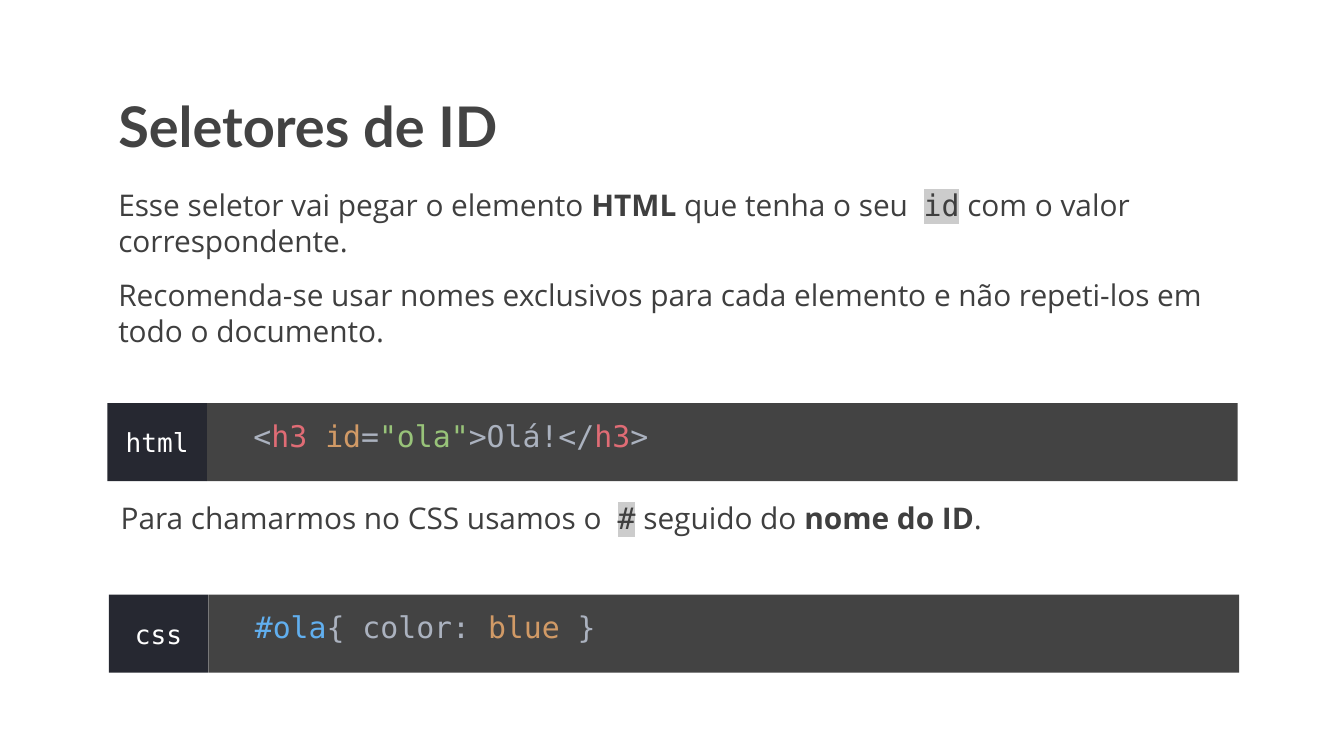
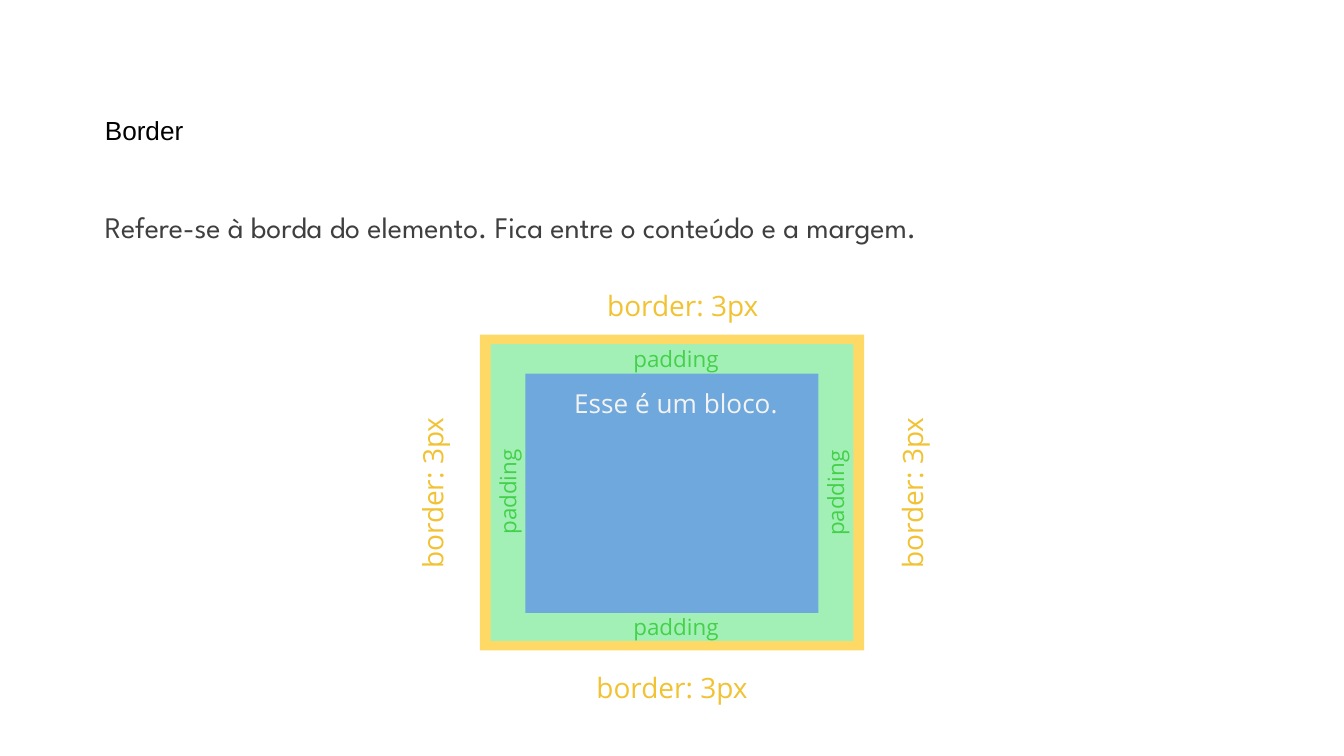
from lxml import etree
from pptx import Presentation
from pptx.dml.color import RGBColor
from pptx.enum.shapes import MSO_SHAPE
from pptx.enum.text import MSO_ANCHOR, MSO_AUTO_SIZE, PP_ALIGN
from pptx.oxml.ns import qn
from pptx.util import Inches, Pt

RECT = MSO_SHAPE.RECTANGLE
TOP, MIDDLE, BOTTOM = MSO_ANCHOR.TOP, MSO_ANCHOR.MIDDLE, MSO_ANCHOR.BOTTOM
LEFT, CENTER = PP_ALIGN.LEFT, PP_ALIGN.CENTER
NO_FIT = MSO_AUTO_SIZE.NONE

WIDTH = Inches(10)
HEIGHT = WIDTH * 9 // 16
COLS, ROWS = 100, 56.25

WHITE = RGBColor(0xFF, 0xFF, 0xFF)
BLACK = RGBColor(0, 0, 0)
INK = RGBColor(0x3F, 0x3F, 0x3F)
CODE_BG = RGBColor(0x43, 0x43, 0x43)
TAG_BG = RGBColor(0x26, 0x28, 0x31)
MARK = RGBColor(0xCC, 0xCC, 0xCC)
PLAIN = RGBColor(0xAB, 0xB2, 0xBF)
RED = RGBColor(0xE0, 0x6C, 0x75)
ORANGE = RGBColor(0xD1, 0x9A, 0x66)
GREEN = RGBColor(0x98, 0xC3, 0x79)
BLUE = RGBColor(0x61, 0xAF, 0xEF)
BORDER = RGBColor(0xFF, 0xD9, 0x66)
BORDER_INK = RGBColor(0xF1, 0xC2, 0x32)
PADDING = RGBColor(0xA3, 0xF0, 0xB7)
PADDING_INK = RGBColor(0x44, 0xD0, 0x49)
BLOCK = RGBColor(0x6F, 0xA8, 0xDC)
BLOCK_INK = RGBColor(0xF3, 0xF3, 0xF3)

MONO, SANS = "DejaVu Sans Mono", "Open Sans"
BOLD = {"bold": True}
CODE_WORD = {"font": MONO, "mark": MARK}


def add_run(p, text, size=16, font=SANS, color=INK, bold=False, mark=None):
    """Add a formatted run to a paragraph."""
    r = p.add_run()
    r.text = text
    r.font.size, r.font.name, r.font.bold = Pt(size), font, bold
    r.font.color.rgb = color
    if mark is not None:
        highlight = etree.Element(qn("a:highlight"))
        etree.SubElement(highlight, qn("a:srgbClr")).set("val", str(mark))
        r._r.rPr.find(qn("a:solidFill")).addnext(highlight)


def fill_text(tf, paragraphs, anchor=TOP, align=LEFT, spacing=1.0, before=0,
              insets=(0.1, 0.1, 0.1, 0.1), **style):
    """Write paragraphs, each a string or a list of (text, style) runs."""
    tf.auto_size, tf.word_wrap, tf.vertical_anchor = NO_FIT, True, anchor
    tf.margin_left, tf.margin_top, tf.margin_right, tf.margin_bottom = map(Inches, insets)
    for i, runs in enumerate(paragraphs):
        p = tf.add_paragraph() if i else tf.paragraphs[0]
        p.alignment, p.line_spacing = align, spacing
        p.space_before, p.space_after = Pt(before if i else 0), Pt(0)
        for text, extra in [(runs, {})] if isinstance(runs, str) else runs:
            add_run(p, text, **{**style, **extra})


class Deck:
    """Hold the grid, the shared style and the current slide."""

    def __init__(self):
        """Open an empty presentation of the right size."""
        self.prs = Presentation()
        self.prs.slide_width, self.prs.slide_height = WIDTH, HEIGHT
        self.s = None

    def new_slide(self):
        """Start a slide with a title and a body."""
        self.s = self.prs.slides.add_slide(self.prs.slide_layouts[1])

    def box(self, col, row, cols, rows):
        """Turn grid cells into slide lengths."""
        return (round(col * WIDTH / COLS), round(row * HEIGHT / ROWS),
                round(cols * WIDTH / COLS), round(rows * HEIGHT / ROWS))

    def place(self, sp, cells):
        """Move a placeholder to grid cells."""
        sp.left, sp.top, sp.width, sp.height = self.box(*cells)

    def title(self, cells, text, **style):
        """Fill the title placeholder."""
        sp = self.s.shapes.title
        self.place(sp, cells)
        fill_text(sp.text_frame, [text], **style)

    def body(self, cells, paragraphs, **style):
        """Fill the body placeholder without bullets."""
        sp = self.s.placeholders[1]
        self.place(sp, cells)
        fill_text(sp.text_frame, paragraphs, before=10, **style)
        for p in sp.text_frame.paragraphs:
            pPr = p._p.get_or_add_pPr()
            pPr.set("marL", "0")
            pPr.set("indent", "0")
            etree.SubElement(pPr, qn("a:buNone"))

    def text(self, cells, paragraphs, turn=0, **style):
        """Add a text box."""
        sp = self.s.shapes.add_textbox(*self.box(*cells))
        sp.rotation = turn
        fill_text(sp.text_frame, paragraphs, **style)

    def rect(self, cells, color, shapes=None):
        """Add a plain filled rectangle."""
        sp = (shapes or self.s.shapes).add_shape(RECT, *self.box(*cells))
        sp.shadow.inherit = False
        sp.fill.solid()
        sp.fill.fore_color.rgb = color
        sp.line.fill.background()
        return sp

    def code(self, col, row, language, runs):
        """Add a code bar with its language tag."""
        shapes = self.s.shapes.add_group_shape().shapes
        bar = self.rect((col + 7.4, row, 76.7, 5.8), CODE_BG, shapes)
        fill_text(bar.text_frame, [[(t, {"color": c}) for t, c in runs]],
                  anchor=MIDDLE, insets=(0.08, 0, 0.1, 0.1), font=MONO)
        tag = self.rect((col, row, 7.4, 5.8), TAG_BG, shapes)
        fill_text(tag.text_frame, [language], anchor=MIDDLE, align=CENTER,
                  size=14, font=MONO, color=WHITE)

    def labels(self, text, spots, **style):
        """Repeat a centred label at several (cells, turn) spots."""
        for cells, turn in spots:
            self.text(cells, [text], turn, anchor=MIDDLE, align=CENTER, **style)


def id_selectors(deck):
    """Build the slide on ID selectors."""
    deck.new_slide()
    deck.title((7.8, 6, 59.6, 6.9), "Seletores de ID", anchor=BOTTOM,
               spacing=0.9, size=30, font="Lato", color=CODE_BG, bold=True)
    deck.body((7.8, 12.9, 84.3, 7.9), [
        [("Esse seletor vai pegar o elemento ", {}), ("HTML", BOLD),
         (" que tenha o seu  ", {}), ("id", CODE_WORD),
         (" com o valor  correspondente.", {})],
        "Recomenda-se usar nomes exclusivos para cada elemento e não "
        "repeti-los em todo o documento.",
    ])
    deck.code(8, 30, "html", [
        ("  <", PLAIN), ("h3 ", RED), ("id", ORANGE), ("=", PLAIN),
        ('"ola"', GREEN), (">Olá!</", PLAIN), ("h3", RED), (">", PLAIN)])
    deck.text((8, 36.2, 84.3, 7.9), [
        [("Para chamarmos no CSS usamos o  ", {}), ("#", CODE_WORD),
         (" seguido do ", {}), ("nome do ID", BOLD), (".", {})],
    ])
    deck.code(8.1, 44.25, "css", [
        ("  ", PLAIN), ("#ola", BLUE), ("{ color: ", PLAIN),
        ("blue", ORANGE), (" }", PLAIN)])


def border(deck):
    """Build the slide on the border of the box model."""
    deck.new_slide()
    deck.title((6.8, 6.5, 85.1, 6.3), "Border", anchor=MIDDLE,
               size=14, font="Arial", color=BLACK)
    deck.body((6.8, 14.5, 85.3, 5.6),
              ["Refere-se à borda do elemento. Fica entre o conteúdo e a margem."],
              font="League Spartan")
    for cells, color in (((35.7, 24.9, 28.6, 23.5), BORDER),
                         ((36.5, 25.6, 27, 22.1), PADDING),
                         ((39.1, 27.8, 21.8, 17.8), BLOCK)):
        deck.rect(cells, color)
    deck.text((41, 27.8, 18.6, 3.1), ["Esse é um bloco."], align=CENTER,
              size=14, color=BLOCK_INK)
    deck.labels("padding", [
        ((44.2, 25.6, 12.2, 2.1), 0), ((44.2, 45.6, 12.2, 2.1), 0),
        ((31.7, 35.3, 12.1, 2.6), 270), ((56.1, 35.4, 12.1, 2.6), 270),
    ], size=12, color=PADDING_INK)
    deck.labels("border: 3px", [
        ((40.7, 21.2, 20.2, 3.1), 0), ((39.9, 49.6, 20.2, 3.1), 0),
        ((22.1, 35.1, 20.1, 3.2), 270), ((57.8, 35.1, 20.1, 3.2), 270),
    ], size=15, color=BORDER_INK)


def main():
    """Build and save the slides."""
    deck = Deck()
    id_selectors(deck)
    border(deck)
    deck.prs.save("out.pptx")


if __name__ == "__main__":
    main()
